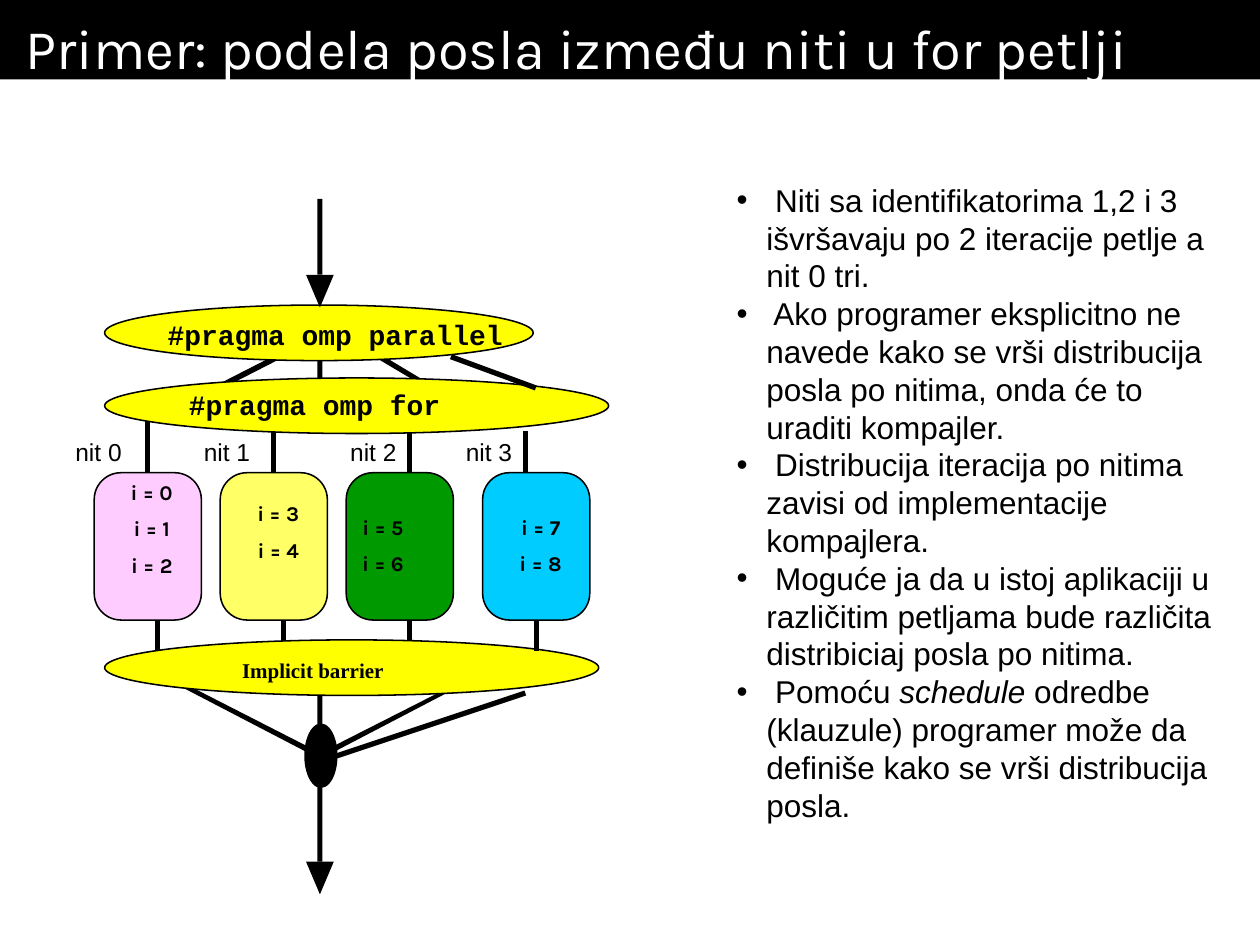
from lxml.etree import SubElement
from pptx import Presentation
from pptx.dml.color import RGBColor
from pptx.enum.shapes import MSO_CONNECTOR, MSO_SHAPE
from pptx.enum.text import MSO_ANCHOR, PP_ALIGN
from pptx.oxml.ns import qn
from pptx.util import Cm, Pt

BLACK, YELLOW = "000000", "FFFF00"
TOP, BOTTOM = 0, 2
AXIS = 6.45
BOX_TOP, BOX_WIDTH, BOX_HEIGHT = 9.53, 2.16, 2.97
INSETS = (0.25, 0.13, 0.25, 0.13)
NO_INSETS = (0, 0, 0, 0)

THREADS = [
    {"left": 1.9, "fill": "FFCCFF", "label": 1.27, "text": (2.11, 9.53, 1.9, 3.05),
     "iterations": ["i = 0", "i = 1", "i = 2"]},
    {"left": 4.44, "fill": "FFFF66", "label": 3.86, "text": (4.44, 9.96, 2.34, 2.29),
     "iterations": ["i = 3", "i = 4"]},
    {"left": 6.98, "fill": "009900", "label": 6.81, "text": (6.55, 10.24, 2.34, 1.6),
     "iterations": ["i = 5", "i = 6"]},
    {"left": 9.73, "fill": "00CCFF", "label": 9.14, "text": (9.73, 10.24, 2.34, 1.6),
     "iterations": ["i = 7", "i = 8"]},
]
NOTES = [
    [" Niti sa identifikatorima 1,2 i 3 išvršavaju po 2 iteracije petlje a nit 0 tri."],
    [" Ako programer eksplicitno ne navede kako se vrši distribucija posla po nitima, "
     "onda će to uraditi kompajler."],
    [" Distribucija iteracija po nitima zavisi od implementacije kompajlera."],
    [" Moguće ja da u istoj aplikaciji u različitim petljama bude različita "
     "distribiciaj posla po nitima."],
    [" Pomoću ", "schedule",
     " odredbe (klauzule) programer može da definiše kako se vrši distribucija posla."],
]
BACK_LINES = [
    (8.26, 8.46, 8.26, 9.73), (8.26, 13.13, 8.26, 11.86),
    (5.72, 13.13, 5.72, 12.27), (3.18, 13.18, 3.18, 12.12),
]
FRONT_LINES = [
    (10.59, 8.69, 10.59, 9.53), (9.09, 7.19, 10.8, 7.82), (10.59, 13.97, 6.78, 15.24),
]
SLANTED_BARS = [
    [(6.43, 6.53), (6.48, 6.43), (9.7, 8.36), (9.68, 8.46)],
    [(6.48, 6.81), (6.43, 6.71), (3.2, 8.36), (3.25, 8.46)],
    [(9.7, 13.61), (9.68, 13.54), (6.43, 15.19), (6.48, 15.29)],
    [(3.2, 13.61), (3.25, 13.54), (6.48, 15.19), (6.43, 15.29)],
]
STAGES = [
    ((2.11, 6.15, 8.64, 1.12), "#pragma omp parallel", (3.38, 6.4, 6.78, 0.69), "Courier New", 16),
    ((2.11, 7.62, 10.16, 1.12), "#pragma omp for", (3.81, 7.82, 5.11, 0.69), "Courier New", 16),
    ((2.11, 12.9, 9.96, 1.12), "Implicit barrier", (4.88, 13.26, 2.87, 0.51), "Times New Roman", 12),
]


def color(value):
    """Turn a hex string into a colour."""
    return RGBColor.from_string(value)


def paint(shape, fill, outlined=False):
    """Give a shape a flat fill and, if wanted, a thin black outline."""
    shape.shadow.inherit = False
    shape.fill.solid()
    shape.fill.fore_color.rgb = color(fill)
    if outlined:
        shape.line.color.rgb = color(BLACK)
        shape.line.width = Pt(0.88)
    else:
        shape.line.fill.background()


def add_figure(slide, kind, place, fill, outlined=False):
    """Add a preset shape at a place given in centimetres."""
    shape = slide.shapes.add_shape(kind, *map(Cm, place))
    paint(shape, fill, outlined)
    return shape


def add_polygon(slide, points):
    """Add a closed black outline through the points."""
    start, *others = [(Cm(x), Cm(y)) for x, y in points]
    builder = slide.shapes.build_freeform(*start)
    builder.add_line_segments(others, close=True)
    paint(builder.convert_to_shape(), BLACK)


def add_line(slide, ends):
    """Add a thick black straight connector."""
    connector = slide.shapes.add_connector(MSO_CONNECTOR.STRAIGHT, *map(Cm, ends))
    connector.line.color.rgb = color(BLACK)
    connector.line.width = Pt(3)
    SubElement(connector._element.spPr, qn("a:effectLst"))
    return connector


def add_arrow(slide, top, length):
    """Add a downward arrow on the axis from a bar and a solid head."""
    add_figure(slide, MSO_SHAPE.RECTANGLE, (AXIS - 0.05, top, 0.1, length), BLACK)
    neck = top + length
    add_polygon(slide, [(AXIS - 0.28, neck), (AXIS, neck + 0.66), (AXIS + 0.28, neck)])


def format_text(frame, font, size, value=BLACK, bold=False):
    """Format every run of a text frame."""
    for paragraph in frame.paragraphs:
        for run in paragraph.runs:
            run.font.name = font
            run.font.size = Pt(size)
            run.font.bold = bold
            run.font.color.rgb = color(value)


def set_frame(frame, insets, anchor, wrap):
    """Set insets, anchor and wrapping of a text frame."""
    frame.margin_left, frame.margin_top, frame.margin_right, frame.margin_bottom = map(Cm, insets)
    frame.vertical_anchor = anchor
    frame.word_wrap = wrap


def add_text(slide, place, text, font, size, bold=False, insets=INSETS,
             anchor=MSO_ANCHOR.TOP, wrap=False):
    """Add a text box and return its frame."""
    frame = slide.shapes.add_textbox(*map(Cm, place)).text_frame
    set_frame(frame, insets, anchor, wrap)
    frame.text = text
    format_text(frame, font, size, bold=bold)
    return frame


def add_title(slide):
    """Add the black title band."""
    band = add_figure(slide, MSO_SHAPE.RECTANGLE, (0, 0, 25.4, 1.6), BLACK)
    frame = band.text_frame
    set_frame(frame, (0.51, 0.28, 0.51, 0), MSO_ANCHOR.TOP, True)
    frame.text = "Primer: podela posla između niti u for petlji"
    frame.paragraphs[0].alignment = PP_ALIGN.LEFT
    format_text(frame, "Karla", 32, "FFFFFF")


def add_notes(slide):
    """Add the bulleted explanation, with the middle run of a split item in italics."""
    frame = add_text(slide, (14.6, 3.5, 10.16, 13.23), "", "Arial", 18,
                     anchor=MSO_ANCHOR.BOTTOM, wrap=True)
    for index, parts in enumerate(NOTES):
        paragraph = frame.add_paragraph() if index else frame.paragraphs[0]
        for position, part in enumerate(parts):
            run = paragraph.add_run()
            run.text = part
            run.font.italic = position == 1
        properties = paragraph._p.get_or_add_pPr()
        properties.set("marL", str(Cm(0.6)))
        properties.set("indent", str(-Cm(0.6)))
        SubElement(properties, qn("a:buFont"), typeface="Arial")
        SubElement(properties, qn("a:buChar"), char="•")
    format_text(frame, "Arial", 18)


def add_thread_boxes(slide):
    """Add the four rounded boxes and the connectors that join them."""
    boxes = []
    for thread in THREADS:
        place = (thread["left"], BOX_TOP, BOX_WIDTH, BOX_HEIGHT)
        box = add_figure(slide, MSO_SHAPE.ROUNDED_RECTANGLE, place, thread["fill"], True)
        box.adjustments[0] = 0.25
        boxes.append(box)
    for index, far_end, side in [(0, 8.46, TOP), (1, 8.69, TOP), (3, 13.13, BOTTOM)]:
        middle = THREADS[index]["left"] + BOX_WIDTH / 2
        connector = add_line(slide, (middle, BOX_TOP, middle, far_end))
        connector.begin_connect(boxes[index], side)


def add_thread_texts(slide):
    """Add the name and the iterations of each thread."""
    for index, thread in enumerate(THREADS):
        add_text(slide, (thread["label"], 8.69, 1.45, 0.84), f"nit {index}", "Arial", 14,
                 anchor=MSO_ANCHOR.BOTTOM)
        frame = add_text(slide, thread["text"], "\n".join(thread["iterations"]), "Karla", 12,
                         bold=True, wrap=True)
        for position, paragraph in enumerate(frame.paragraphs):
            paragraph.alignment = PP_ALIGN.CENTER
            paragraph.space_before = Pt(6.5 if position else 0)


def main():
    """Build the slide and save it."""
    presentation = Presentation()
    presentation.slide_width, presentation.slide_height = Cm(25.4), Cm(19.05)
    slide = presentation.slides.add_slide(presentation.slide_layouts[6])
    add_title(slide)
    add_notes(slide)
    for ends in BACK_LINES:
        add_line(slide, ends)
    for points in SLANTED_BARS:
        add_polygon(slide, points)
    for top, length in [(6.76, 1.65), (13.59, 1.12)]:
        add_figure(slide, MSO_SHAPE.RECTANGLE, (AXIS - 0.05, top, 0.1, length), BLACK)
    add_thread_boxes(slide)
    for place, text, text_place, font, size in STAGES:
        add_figure(slide, MSO_SHAPE.OVAL, place, YELLOW, True)
        add_text(slide, text_place, text, font, size, bold=True, insets=NO_INSETS)
    for top, length in [(4.01, 1.53), (15.8, 1.57)]:
        add_arrow(slide, top, length)
    add_figure(slide, MSO_SHAPE.OVAL, (6.15, 14.6, 0.64, 1.27), BLACK, True)
    for ends in FRONT_LINES:
        add_line(slide, ends)
    joint = THREADS[3]["left"] + BOX_WIDTH / 2
    add_line(slide, (joint, BOX_TOP + BOX_HEIGHT, joint, 13.13))
    add_thread_texts(slide)
    presentation.save("out.pptx")


if __name__ == "__main__":
    main()
